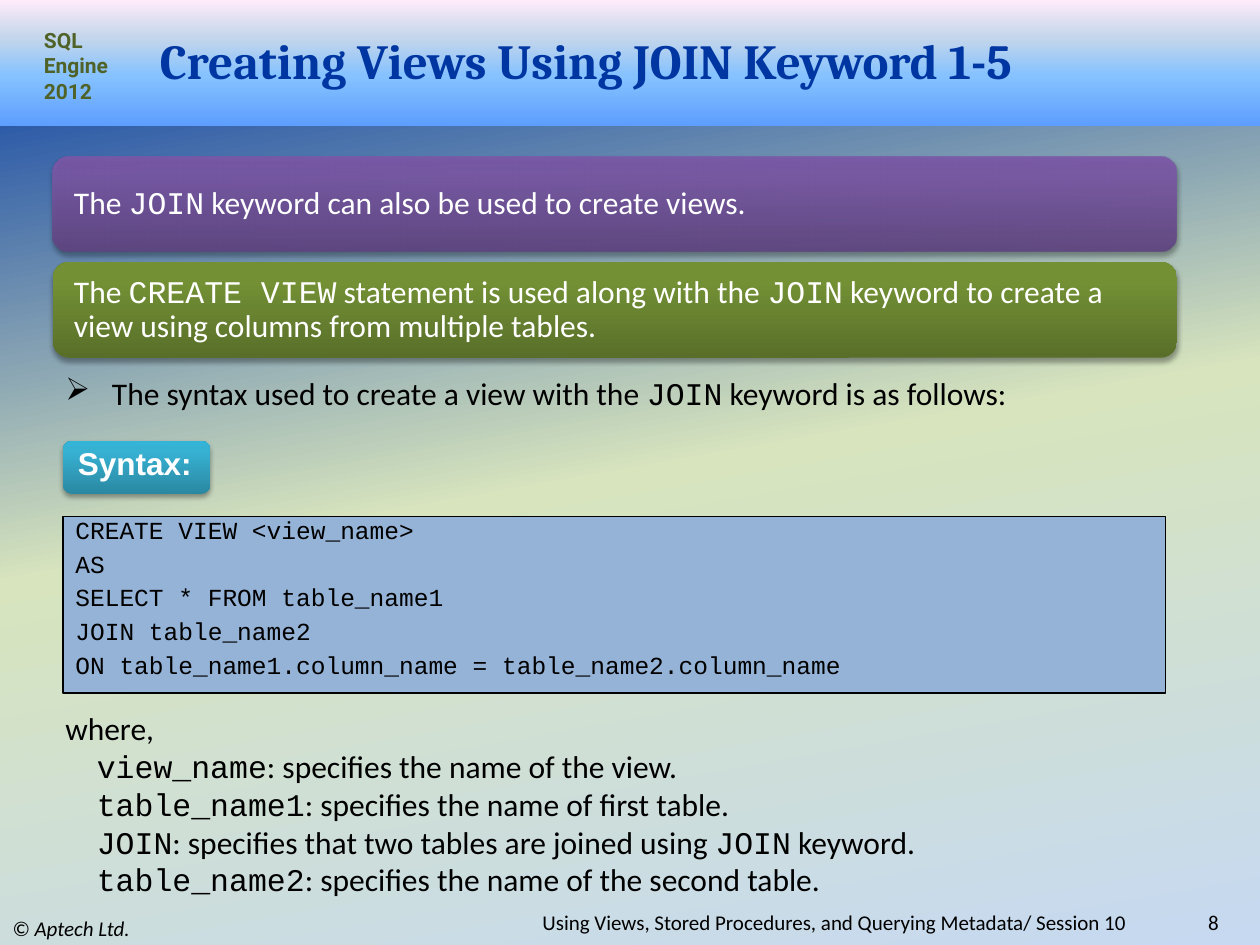
from lxml import etree
from pptx import Presentation
from pptx.dml.color import RGBColor
from pptx.enum.shapes import MSO_SHAPE
from pptx.enum.text import MSO_ANCHOR, PP_ALIGN
from pptx.oxml.ns import qn
from pptx.util import Inches, Pt

RECT, ROUND = MSO_SHAPE.RECTANGLE, MSO_SHAPE.ROUNDED_RECTANGLE
TOP, MID = MSO_ANCHOR.TOP, MSO_ANCHOR.MIDDLE
LEFT, RIGHT = PP_ALIGN.LEFT, PP_ALIGN.RIGHT
HEX = {"black": "000000", "white": "FFFFFF", "navy": "0036A2",
       "moss": "4F6228", "code": "95B3D7"}
# Each gradient lists (position, colour) stops
GRAD = {
    "page": [(0, "0036A2"), (50, "D7E4BD"), (100, "C6D9F1")],
    "head": [(0, "5E9EFF"), (40, "85C2FF"), (70, "C4D6EB"), (100, "FFEBFA")],
    "plum": [(0, "5F4480"), (80, "7B58A6"), (100, "7C57A8")],
    "leaf": [(0, "596F29"), (80, "739035"), (100, "749334")],
    "teal": [(0, "2A88A2"), (80, "37B1D2"), (100, "34B4D6")],
}
BODY = {"name": "Calibri", "size": Pt(18)}
FOOT = {"name": "Calibri", "size": Pt(12)}
MONO = "Courier New"


def add(node, tag, **attrs):
    return etree.SubElement(node, qn(tag), {k: str(v) for k, v in attrs.items()})


def add_color(node, value, alpha=100):
    color = add(node, "a:srgbClr", val=value)
    if alpha < 100:
        add(color, "a:alpha", val=alpha * 1000)


def blend(fill, root, name, angle=270, alpha=100):
    """Fill with a gradient of any number of stops."""
    fill.gradient()
    grad = root.find(".//" + qn("a:gradFill"))
    for child in list(grad):
        grad.remove(child)
    stops = add(grad, "a:gsLst")
    for pos, value in GRAD[name]:
        add_color(add(stops, "a:gs", pos=pos * 1000), value, alpha)
    add(grad, "a:lin", ang=angle * 60000, scaled=0)


def panel(slide, box, kind, name, alpha=100, shade=False):
    shape = slide.shapes.add_shape(kind, *map(Inches, box))
    shape.shadow.inherit = False
    shape.line.fill.background()
    props = shape._element.spPr
    if name in GRAD:
        blend(shape.fill, props, name, alpha=alpha)
    else:
        shape.fill.solid()
        shape.fill.fore_color.rgb = RGBColor.from_string(HEX[name])
    if shade:
        cast = add(props.find(qn("a:effectLst")), "a:outerShdw", blurRad=Pt(3.1),
                   dist=Pt(1.8), dir=90 * 60000, algn="t", rotWithShape=0)
        add_color(cast, HEX["black"], 35)
    return shape


def write(shape, lines, font, color="black", anchor=TOP, para=None):
    """Write lines of text; parts between backticks are set in code type."""
    frame = shape.text_frame
    frame.word_wrap, frame.vertical_anchor = True, anchor
    for i, line in enumerate(lines):
        item = frame.paragraphs[0] if i == 0 else frame.add_paragraph()
        for key, value in {"alignment": LEFT, **(para or {})}.items():
            if i or key != "space_before":
                setattr(item, key, value)
        for j, part in enumerate(line.split("`")):
            if not part:
                continue
            run = item.add_run()
            run.text = part
            for key, value in font.items():
                setattr(run.font, key, value)
            if j % 2:
                run.font.name = MONO
            run.font.color.rgb = RGBColor.from_string(HEX[color])
    return frame


def label(slide, box, lines, font, **style):
    return write(slide.shapes.add_textbox(*map(Inches, box)), lines, font, **style)


def indent(item, left, hang=0):
    props = item._p.get_or_add_pPr()
    props.set("marL", str(Inches(left)))
    props.set("indent", str(Inches(-hang)))
    return props


def header(slide, box):
    x, y, w, h = box
    panel(slide, box, RECT, "head")
    label(slide, (x + 0.25, y + 0.17, 0.75, 0.71), ["SQL Engine 2012"],
          {"name": "Roboto", "size": Pt(12), "bold": True}, color="moss")
    label(slide, (x + 1.17, y + 0.25, w - 1.67, 0.45),
          ["Creating Views Using JOIN Keyword 1-5"],
          {"name": "Cambria", "size": Pt(28), "bold": True}, color="navy", anchor=MID)


def banners(slide, box):
    x, y, w, h = box
    rows = [
        ("plum", 90, "The `JOIN` keyword can also be used to create views."),
        ("leaf", 100, "The `CREATE VIEW` statement is used along with the `JOIN` "
                      "keyword to create a view using columns from multiple tables."),
    ]
    gap = 0.08
    tall = (h - gap) / len(rows)
    for i, (name, alpha, text) in enumerate(rows):
        bar = panel(slide, (x, y + i * (tall + gap), w, tall), ROUND, name, alpha, True)
        frame = write(bar, [text], BODY, "white", MID, {"line_spacing": 0.9})
        frame.margin_left = frame.margin_right = Inches(0.13)


def syntax(slide, box):
    x, y, w, h = box
    # Lead-in with arrow bullet
    lead = label(slide, (x, y, w, 0.4), ["The syntax used to create a view with the "
                                        "`JOIN` keyword is as follows:"], BODY)
    add(indent(lead.paragraphs[0], 0.37, 0.37), "a:buChar", char="➢")
    # Tag
    tag = panel(slide, (x + 0.08, y + 0.58, 1.17, 0.42), ROUND, "teal", shade=True)
    write(tag, ["Syntax:"], {"name": "Arial", "size": Pt(18), "bold": True},
          "white", MID, {"line_spacing": 0.7})
    # Code
    code = panel(slide, (x + 0.08, y + 1.18, w - 0.42, h - 1.18), RECT, "code")
    code.line.color.rgb = RGBColor.from_string(HEX["black"])
    code.line.width = Pt(0.75)
    write(code, ["CREATE VIEW <view_name>", "AS", "SELECT * FROM table_name1",
                 "JOIN table_name2",
                 "ON table_name1.column_name = table_name2.column_name"],
          {"name": MONO, "size": Pt(14)},
          para={"line_spacing": 0.7, "space_before": Pt(7.6)})


def terms(slide, box):
    frame = label(slide, box, [
        "where,",
        "`view_name`: specifies the name of the view.",
        "`table_name1`: specifies the name of first table.",
        "`JOIN`: specifies that two tables are joined using `JOIN` keyword.",
        "`table_name2`: specifies the name of the second table."], BODY)
    for item in frame.paragraphs[1:]:
        indent(item, 0.25)


def footer(slide, box):
    x, y, w, h = box
    mark = label(slide, (x, y, 3.33, h), ["© Aptech Ltd."], FOOT, anchor=MID)
    mark.paragraphs[0].runs[0].font.italic = True
    for left, wide, text in [
            (2.5, 6.54, "Using Views, Stored Procedures, and Querying Metadata/ Session 10"),
            (8.92, 0.85, "8")]:
        label(slide, (x + left, y, wide, 0.18), [text], FOOT, anchor=MID,
              para={"alignment": RIGHT})


def main():
    deck = Presentation()
    deck.slide_width, deck.slide_height = Inches(10), Inches(7.5)
    slide = deck.slides.add_slide(deck.slide_layouts[6])
    blend(slide.background.fill, slide._element, "page", angle=80)
    header(slide, (0, 0, 10, 1))
    banners(slide, (0.42, 1.24, 8.92, 1.6))
    syntax(slide, (0.42, 2.92, 9.17, 2.58))
    terms(slide, (0.42, 5.58, 9.25, 1.62))
    footer(slide, (0, 7.23, 10, 0.27))
    deck.save("out.pptx")


if __name__ == "__main__":
    main()
